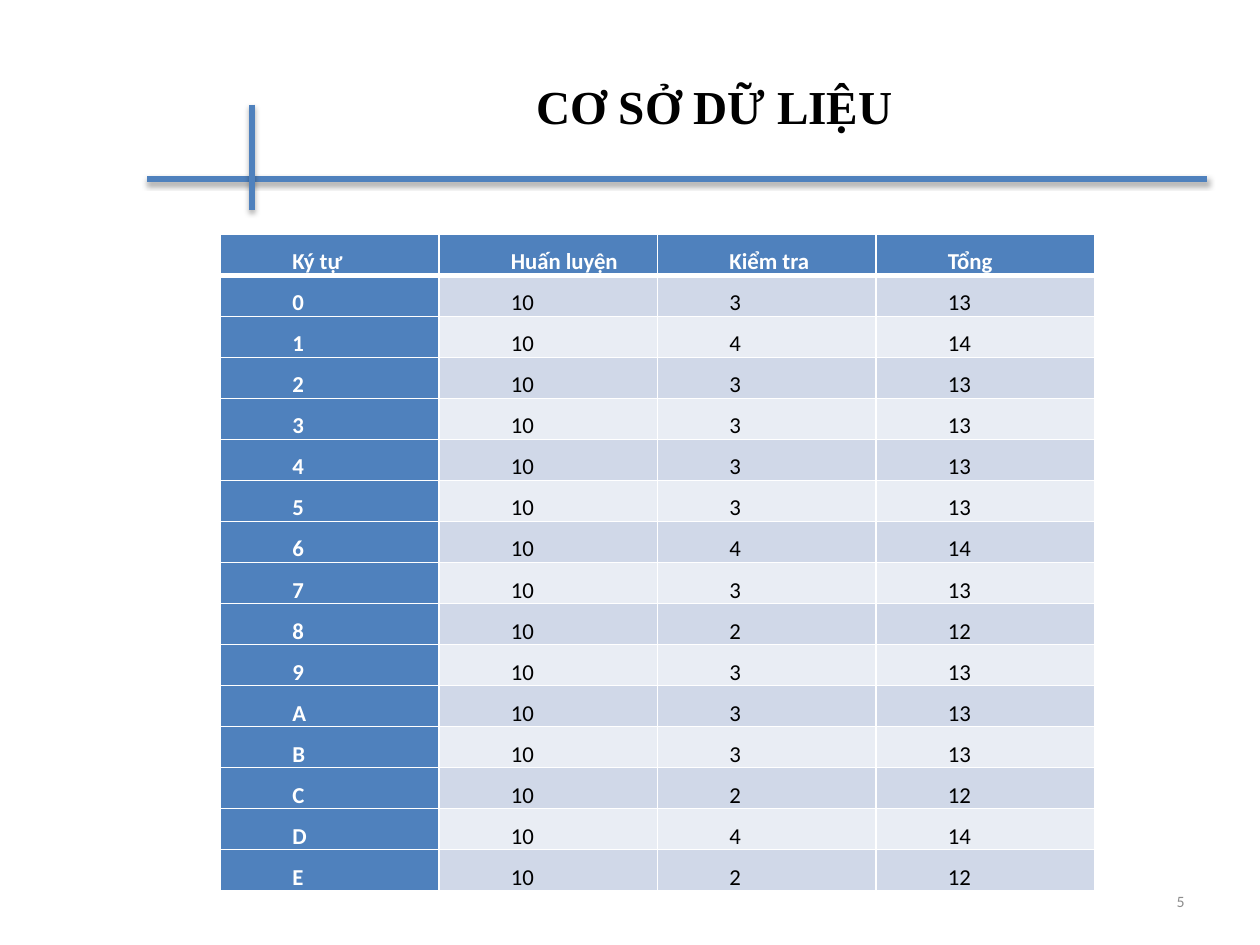
from dataclasses import dataclass

from lxml.etree import SubElement
from pptx import Presentation
from pptx.dml.color import RGBColor
from pptx.enum.shapes import MSO_CONNECTOR as Connector
from pptx.enum.text import MSO_ANCHOR as Anchor, MSO_AUTO_SIZE as AutoSize, PP_ALIGN as Align
from pptx.oxml import parse_xml
from pptx.oxml.ns import nsdecls, qn
from pptx.util import Inches, Pt


@dataclass(frozen=True)
class Theme:
    accent: str = "4F81BD"
    dark_band: str = "D0D8E8"
    light_band: str = "E9EDF4"
    white: str = "FFFFFF"
    black: str = "000000"
    muted: str = "8C8C8C"
    title_font: str = "Times New Roman"
    body_font: str = "Calibri"
    title_size: int = 27
    table_size: int = 13
    number_size: int = 9


THEME = Theme()
HEADERS = ["Ký tự", "Huấn luyện", "Kiểm tra", "Tổng"]
CHARACTERS = "0123456789ABCDE"
TRAINING = 10
TESTS = [3, 4, 3, 3, 3, 3, 4, 3, 2, 3, 3, 3, 2, 4, 2]


def set_attributes(target, **values):
    for name, value in values.items():
        setattr(target, name, value)


def write_text(frame, text, font, size, color, bold, **paragraph_format):
    paragraph = frame.paragraphs[0]
    set_attributes(paragraph, **paragraph_format)
    run = paragraph.add_run()
    run.text = text
    set_attributes(run.font, name=font, size=Pt(size), bold=bold)
    run.font.color.rgb = RGBColor.from_string(color)
    return paragraph


def place(shape, box):
    left, top, width, height = map(Inches, box)
    set_attributes(shape, left=left, top=top, width=width, height=height)


def add_rule(slide, start, end):
    rule = slide.shapes.add_connector(Connector.STRAIGHT, *map(Inches, start + end))
    rule.line.color.rgb = RGBColor.from_string(THEME.accent)
    rule.line.width = Pt(3)
    rule._element.spPr.append(parse_xml(
        f'<a:effectLst {nsdecls("a")}>'
        f'<a:outerShdw blurRad="{Pt(3.1)}" dist="{Pt(1.8)}" dir="5400000" rotWithShape="0">'
        f'<a:srgbClr val="{THEME.black}"><a:alpha val="35000"/></a:srgbClr>'
        '</a:outerShdw></a:effectLst>'))


def add_cross(slide, box, center):
    left, top, width, height = box
    x, y = center
    add_rule(slide, (left, y), (left + width, y))
    add_rule(slide, (x, top), (x, top + height))


def add_title(slide, box):
    title = slide.shapes.title
    place(title, box)
    set_attributes(title.text_frame, vertical_anchor=Anchor.MIDDLE,
                   word_wrap=True, auto_size=AutoSize.NONE)
    write_text(title.text_frame, "CƠ SỞ DỮ LIỆU", THEME.title_font, THEME.title_size,
               THEME.black, True, alignment=Align.CENTER)


def add_page_number(slide, box):
    shape = slide.shapes.add_textbox(*map(Inches, box))
    set_attributes(shape.text_frame, vertical_anchor=Anchor.MIDDLE, word_wrap=True)
    write_text(shape.text_frame, "5", THEME.body_font, THEME.number_size,
               THEME.muted, False, alignment=Align.RIGHT)


def set_borders(cell, widths):
    properties = cell._tc.get_or_add_tcPr()
    for index, (side, width) in enumerate(widths.items()):
        border = SubElement(properties, qn(f"a:ln{side}"), w=str(Pt(width)))
        fill = SubElement(border, qn("a:solidFill"))
        SubElement(fill, qn("a:srgbClr"), val=THEME.white)
        properties.insert(index, border)


def format_cell(cell, text, row, column):
    heading = row == 0 or column == 0
    band = THEME.dark_band if row % 2 else THEME.light_band
    cell.fill.solid()
    cell.fill.fore_color.rgb = RGBColor.from_string(THEME.accent if heading else band)
    set_attributes(cell, margin_left=Inches(0.07), margin_right=Inches(0.07),
                   margin_top=0, margin_bottom=0)
    set_borders(cell, {"L": 1, "R": 1, "T": 3 if row == 1 else 1, "B": 3 if row == 0 else 1})
    paragraph = write_text(cell.text_frame, str(text), THEME.body_font, THEME.table_size,
                           THEME.white if heading else THEME.black, heading,
                           alignment=Align.JUSTIFY, line_spacing=1.5, space_after=Pt(6))
    indents = paragraph._p.get_or_add_pPr()
    indents.set("marL", "0")
    indents.set("indent", str(Inches(0.5)))


def add_data_table(slide, box):
    records = [HEADERS] + [[character, TRAINING, test, TRAINING + test]
                           for character, test in zip(CHARACTERS, TESTS)]
    table = slide.shapes.add_table(len(records), len(HEADERS), *map(Inches, box)).table
    table.first_col = True
    for row, record in enumerate(records):
        for column, text in enumerate(record):
            format_cell(table.cell(row, column), text, row, column)


def main():
    presentation = Presentation()
    set_attributes(presentation, slide_width=Inches(10), slide_height=Inches(7.5))
    slide = presentation.slides.add_slide(presentation.slide_layouts[5])
    add_cross(slide, (1.17, 0.83, 8.41, 0.84), (2, 1.42))
    add_title(slide, (1.17, 0.21, 9, 1.25))
    add_page_number(slide, (7.17, 6.95, 2.33, 0.4))
    add_data_table(slide, (1.75, 1.86, 6.94, 5.09))
    presentation.save("out.pptx")


if __name__ == "__main__":
    main()
